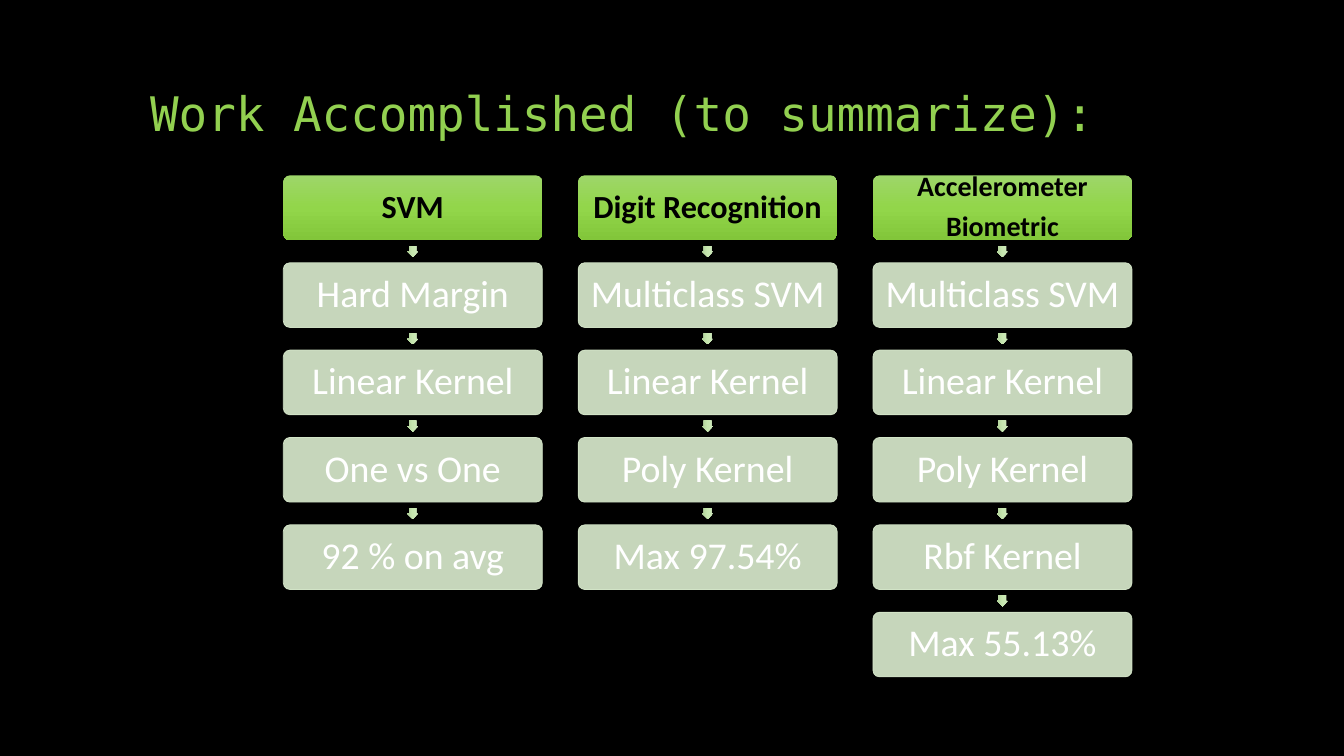
from copy import deepcopy

from lxml.etree import SubElement
from pptx import Presentation
from pptx.dml.color import RGBColor
from pptx.enum.shapes import MSO_SHAPE as Shape
from pptx.enum.text import MSO_ANCHOR as Anchor, MSO_AUTO_SIZE as AutoSize, PP_ALIGN as Align
from pptx.oxml.ns import qn
from pptx.util import Pt

HEADING = "Work Accomplished (to summarize):"
COLUMNS = [
    (["SVM"], 23, ["Hard Margin", "Linear Kernel", "One vs One", "92 % on avg"]),
    (["Digit Recognition"], 23,
     ["Multiclass SVM", "Linear Kernel", "Poly Kernel", "Max 97.54%"]),
    (["Accelerometer", "Biometric"], 20,
     ["Multiclass SVM", "Linear Kernel", "Poly Kernel", "Rbf Kernel", "Max 55.13%"]),
]
COLORS = {
    "background": "000000", "heading": "92D050",
    "topic": "000000", "step": "FFFFFF", "step_fill": "DCEED0",
}
TOPIC_GRADIENT = ["9ED669", "92D64A", "82C63A"]
ARROW_GRADIENT = ["CFE9BD", "C7E7B0", "B0D199"]

LEFT, TOP = 202.4, 125.3
BOX_W, BOX_H = 185, 46.2
COLUMN_PITCH, ROW_PITCH = 210.6, 62.4
ARROW = 8.1
INSET = 4


def rgb(name):
    return RGBColor.from_string(COLORS[name])


def add_text(frame, lines, size, font, color, bold=False, align=Align.CENTER, after=0.35):
    for i, line in enumerate(lines):
        paragraph = frame.paragraphs[0] if i == 0 else frame.add_paragraph()
        paragraph.alignment = align
        paragraph.line_spacing = 0.9
        paragraph.space_before = Pt(0)
        paragraph.space_after = Pt(size * after)
        run = paragraph.add_run()
        run.text = line
        run.font.size = Pt(size)
        run.font.name = font
        run.font.bold = bold
        run.font.color.rgb = rgb(color)


def fill_gradient(shape, stops):
    shape.fill.gradient()
    shape.fill.gradient_angle = 270
    stop_list = shape._element.spPr.find(qn("a:gradFill")).find(qn("a:gsLst"))
    stop_list.insert(1, deepcopy(stop_list[0]))
    for i, (stop, color) in enumerate(zip(shape.fill.gradient_stops, stops)):
        stop.position = i / (len(stops) - 1)
        stop.color.rgb = RGBColor.from_string(color)


def set_opacity(shape, percent):
    for color in shape._element.spPr.iter(qn("a:srgbClr")):
        SubElement(color, qn("a:alpha")).set("val", str(percent * 1000))


def add_box(slide, x, y):
    box = slide.shapes.add_shape(Shape.ROUNDED_RECTANGLE, Pt(x), Pt(y), Pt(BOX_W), Pt(BOX_H))
    box.adjustments[0] = 0.1
    box.shadow.inherit = False
    frame = box.text_frame
    frame.word_wrap = True
    frame.vertical_anchor = Anchor.MIDDLE
    frame.margin_left = frame.margin_right = Pt(INSET)
    frame.margin_top = frame.margin_bottom = Pt(INSET)
    return box


def add_topic(slide, x, lines, size):
    topic = add_box(slide, x, TOP)
    fill_gradient(topic, TOPIC_GRADIENT)
    topic.line.fill.background()
    add_text(topic.text_frame, lines, size, "Calibri", "topic", bold=True)


def add_step(slide, x, y, label):
    gap = ROW_PITCH - BOX_H
    arrow = slide.shapes.add_shape(
        Shape.RIGHT_ARROW, Pt(x + (BOX_W - ARROW) / 2), Pt(y - (gap + ARROW) / 2),
        Pt(ARROW), Pt(ARROW))
    arrow.rotation = 90
    arrow.adjustments[0] = 0.667
    arrow.shadow.inherit = False
    fill_gradient(arrow, ARROW_GRADIENT)
    arrow.line.fill.background()

    step = add_box(slide, x, y)
    step.fill.solid()
    step.fill.fore_color.rgb = rgb("step_fill")
    step.line.color.rgb = rgb("step_fill")
    step.line.width = Pt(0.5)
    set_opacity(step, 90)
    add_text(step.text_frame, [label], 27, "Calibri", "step")


def main():
    deck = Presentation()
    deck.slide_width, deck.slide_height = Pt(960), Pt(540)
    slide = deck.slides.add_slide(deck.slide_layouts[5])
    slide.background.fill.solid()
    slide.background.fill.fore_color.rgb = rgb("background")

    heading = slide.shapes.title
    heading.left, heading.top, heading.width, heading.height = Pt(100), Pt(15), Pt(720), Pt(90)
    heading.text_frame.word_wrap = True
    heading.text_frame.auto_size = AutoSize.NONE
    heading.text_frame.vertical_anchor = Anchor.BOTTOM
    add_text(heading.text_frame, [HEADING], 34, "DejaVu Sans Mono", "heading",
             align=Align.LEFT, after=0)

    for column, (topic, size, steps) in enumerate(COLUMNS):
        x = LEFT + column * COLUMN_PITCH
        add_topic(slide, x, topic, size)
        for row, label in enumerate(steps, start=1):
            add_step(slide, x, TOP + row * ROW_PITCH, label)

    deck.save("out.pptx")


if __name__ == "__main__":
    main()
